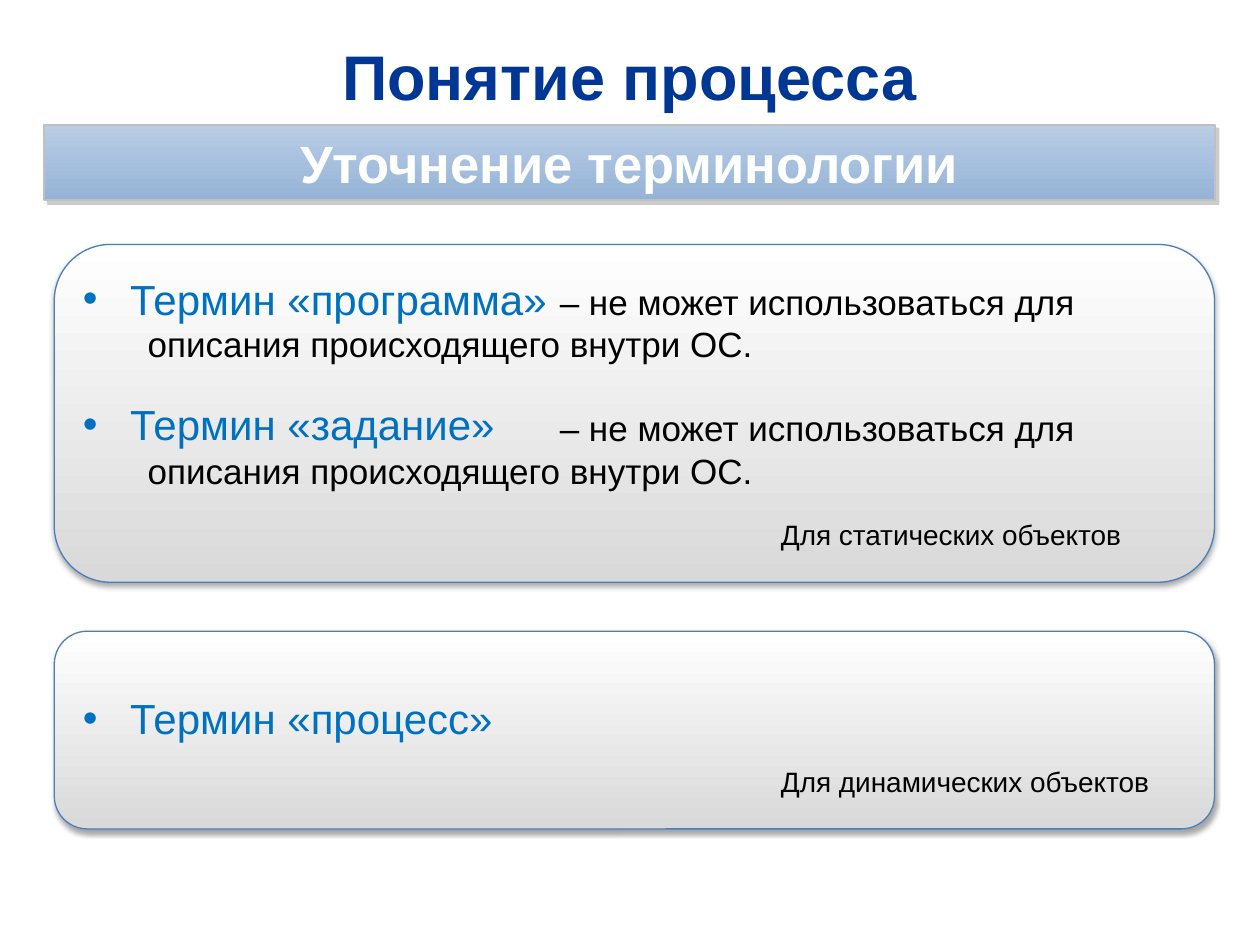
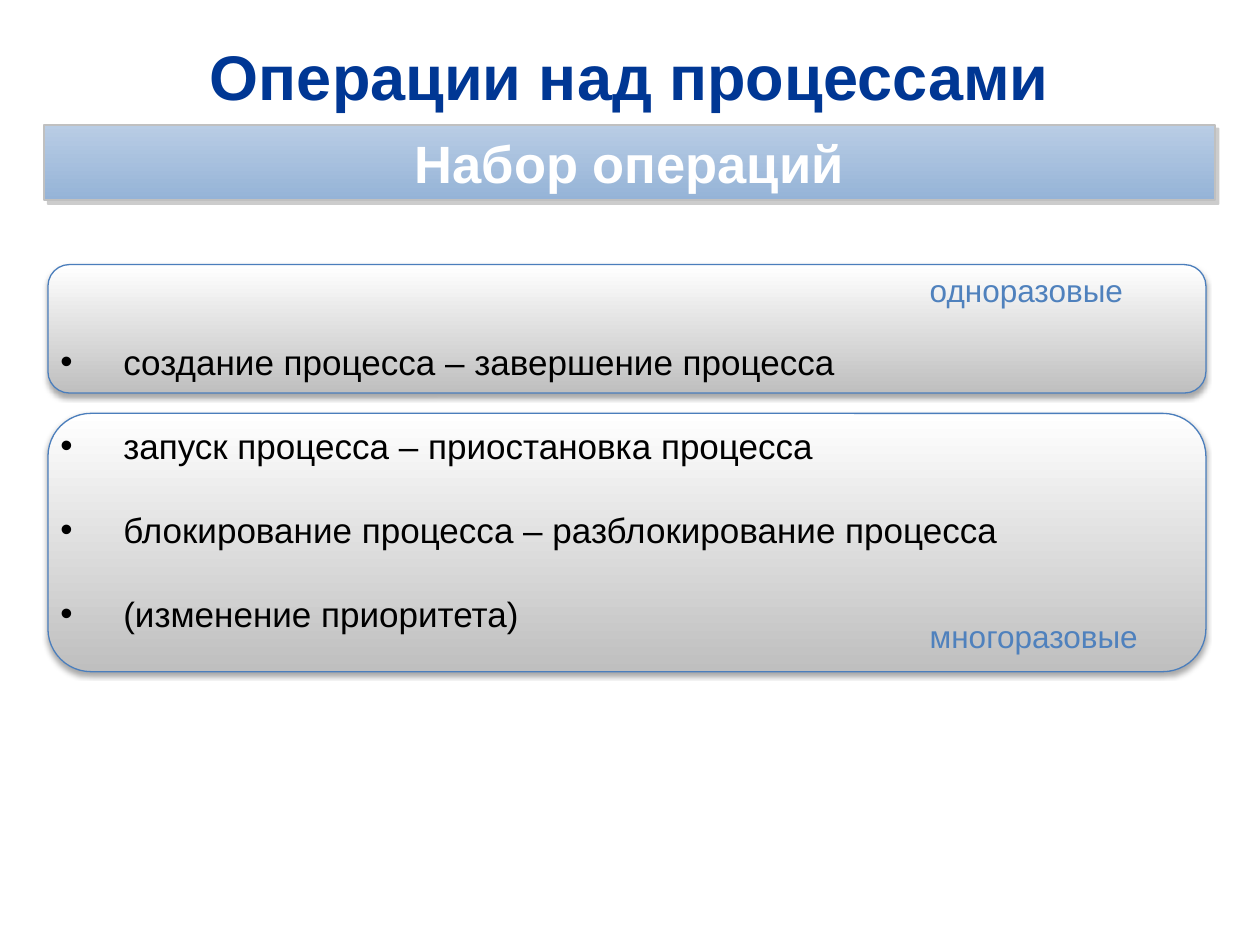
"""Build two slides about operating system processes."""
import pptx
import pptx.util
import pptx.dml.color
import pptx.enum.shapes
import pptx.enum.text
import pptx.oxml
import pptx.oxml.ns

Pt = pptx.util.Pt
Shapes = pptx.enum.shapes.MSO_SHAPE
Align = pptx.enum.text.PP_ALIGN
Anchor = pptx.enum.text.MSO_ANCHOR

COLORS = {
    "title": "003794",
    "white": "FFFFFF",
    "black": "000000",
    "term": "0070C0",
    "label": "4F81BD",
    "band_top": "B9CDE5",
    "band_bottom": "95B3D7",
    "band_line": "C0C0C0",
    "band_shadow": "808080",
    "card_line": "4B7EBC",
    "light_gray": "D9D9D9",
    "gray": "BFBFBF",
}
FONT = "Arial"
LINE_FACTOR = 1.2


def rgb(name):
    return pptx.dml.color.RGBColor.from_string(COLORS[name])


class Deck:
    def __init__(self):
        self.presentation = pptx.Presentation()
        self.presentation.slide_width = Pt(720)
        self.presentation.slide_height = Pt(540)
        self.slide = None

    def start_slide(self, title, subtitle):
        self.slide = self.presentation.slides.add_slide(self.presentation.slide_layouts[6])
        heading = self.text_box(25.2, 18.7, 669, 49)
        heading.vertical_anchor = Anchor.MIDDLE
        self.paragraph(heading, title, 36, "title", bold=True, align=Align.CENTER)
        band = self.surface(Shapes.RECTANGLE, (25.2, 71.3, 669, 43.2),
                            ("band_top", "band_bottom"), ("band_line", 1),
                            ("band_shadow", 40, 0, 3, 45))
        frame = band.text_frame
        frame.vertical_anchor = Anchor.MIDDLE
        self.paragraph(frame, subtitle, 30, "white", bold=True, align=Align.CENTER)

    def surface(self, kind, place, gradient, line, shadow):
        shape = self.slide.shapes.add_shape(kind, *map(Pt, place))
        shape.fill.gradient()
        shape.fill.gradient_angle = 270
        for stop, color in zip(shape.fill.gradient_stops, gradient):
            stop.color.rgb = rgb(color)
        shape.line.color.rgb = rgb(line[0])
        shape.line.width = Pt(line[1])
        self.add_shadow(shape, *shadow)
        return shape

    def add_shadow(self, shape, color, opacity, blur, distance, angle):
        shape.shadow.inherit = False
        effects = shape._element.spPr.find(pptx.oxml.ns.qn("a:effectLst"))
        effects.append(pptx.oxml.parse_xml(
            f'<a:outerShdw {pptx.oxml.ns.nsdecls("a")} blurRad="{Pt(blur)}" '
            f'dist="{Pt(distance)}" dir="{angle * 60000}" algn="ctr" rotWithShape="0">'
            f'<a:srgbClr val="{COLORS[color]}"><a:alpha val="{opacity * 1000}"/></a:srgbClr>'
            '</a:outerShdw>'))

    def card(self, left, top, width, height, bottom_color):
        self.surface(Shapes.ROUNDED_RECTANGLE, (left, top, width, height),
                     ("white", bottom_color), ("card_line", 0.75),
                     ("black", 35, 3.1, 1.8, 90))

    def text_box(self, left, top, width, height):
        frame = self.slide.shapes.add_textbox(*map(Pt, (left, top, width, height))).text_frame
        frame.word_wrap = True
        return frame

    def paragraph(self, frame, text, size, color, bold=False, align=Align.LEFT,
                  before=0, margin=0, indent=0, bullet=False):
        used = frame.paragraphs[-1].runs
        paragraph = frame.add_paragraph() if used else frame.paragraphs[0]
        paragraph.alignment = align
        paragraph.space_before = Pt(before)
        paragraph.line_spacing = Pt(size * LINE_FACTOR)
        properties = paragraph._p.get_or_add_pPr()
        properties.set("marL", str(Pt(margin)))
        properties.set("indent", str(Pt(indent)))
        if bullet:
            for tag, name, value in (("buFont", "typeface", FONT), ("buChar", "char", "•")):
                properties.append(pptx.oxml.parse_xml(
                    f'<a:{tag} {pptx.oxml.ns.nsdecls("a")} {name}="{value}"/>'))
        run = paragraph.add_run()
        run.text = text
        run.font.name = FONT
        run.font.size = Pt(size)
        run.font.bold = bold
        run.font.color.rgb = rgb(color)

    def label(self, text, left, top, width, size, color):
        self.paragraph(self.text_box(left, top, width, 28), text, size, color)

    def bullets(self, place, items, size, color, margin):
        frame = self.text_box(*place)
        for text, before in items:
            self.paragraph(frame, text, size, color, before=before,
                           margin=margin, indent=-margin, bullet=True)


def add_terminology(deck):
    deck.start_slide("Понятие процесса", "Уточнение терминологии")
    for top, height in ((360.7, 113), (139.7, 193)):
        deck.card(31, top, 663, height, "light_gray")
    definitions = deck.text_box(41.8, 157, 617.8, 128)
    for before in (0, 24):
        deck.paragraph(definitions,
                       "– не может использоваться для описания происходящего внутри ОС.",
                       20, "black", before=before, margin=35.5, indent=235.5)
    terms = (("Термин «программа»", 0), ("Термин «задание»", 42.8), ("Термин «процесс»", 139.2))
    deck.bullets((40.3, 152.6, 282.2, 278.6), terms, 24, "term", 27)
    for text, top in (("Для статических объектов", 292.3), ("Для динамических объектов", 433.4)):
        deck.label(text, 439.2, top, 244, 16, "black")


def add_operations(deck):
    deck.start_slide("Операции над процессами", "Набор операций")
    for top, height in ((236.2, 147.6), (151.2, 73.4)):
        deck.card(27.4, top, 661.7, height, "gray")
    operations = ("создание процесса – завершение процесса",
                  "запуск процесса – приостановка процесса",
                  "блокирование процесса – разблокирование процесса",
                  "(изменение приоритета)")
    items = [(text, 24 if index else 0) for index, text in enumerate(operations)]
    deck.bullets((27.4, 190.8, 667.4, 177), items, 20, "black", 36)
    for text, top in (("одноразовые", 151.2), ("многоразовые", 349.2)):
        deck.label(text, 524.2, top, 136, 18, "label")


def main():
    deck = Deck()
    add_terminology(deck)
    add_operations(deck)
    deck.presentation.save("out.pptx")


if __name__ == "__main__":
    main()
